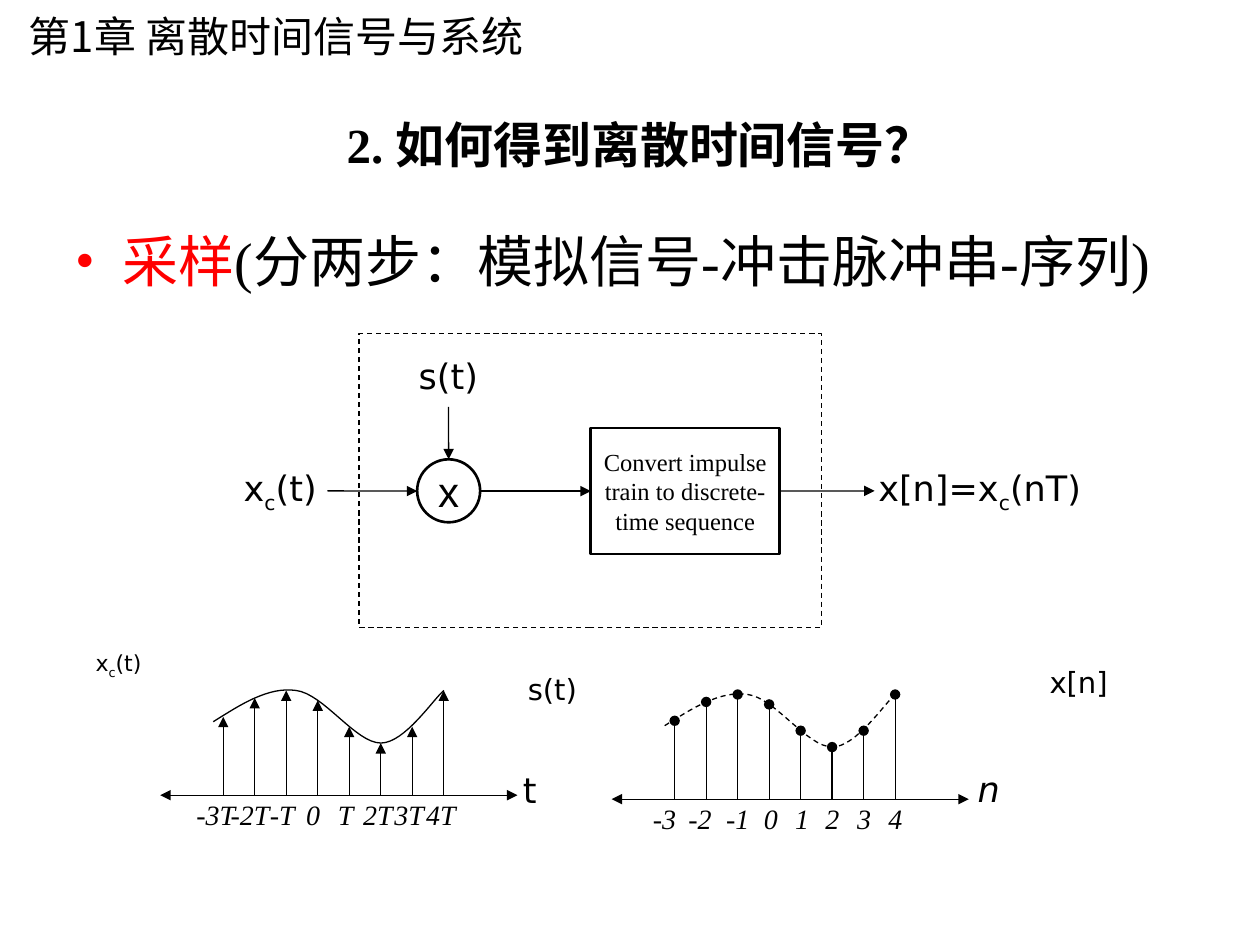
from pptx import Presentation
from pptx.dml.color import RGBColor
from pptx.enum.dml import MSO_LINE_DASH_STYLE as DASH
from pptx.enum.shapes import MSO_CONNECTOR, MSO_SHAPE
from pptx.enum.text import MSO_ANCHOR, PP_ALIGN
from pptx.oxml.ns import qn
from pptx.util import Cm, Pt
from lxml.etree import SubElement

COLORS = {"ink": "000000", "accent": "FF0000"}
SERIF, SANS, CJK = "Times New Roman", "DejaVu Sans", "Noto Sans CJK SC"


def rgb(name):
    return RGBColor.from_string(COLORS[name])


def write(tf, text, size=20, font=SANS, color="ink", bold=False, italic=False,
          align=PP_ALIGN.LEFT, anchor=MSO_ANCHOR.TOP, wrap=True, spacing=None, inset=0.25):
    """Fill the first paragraph; an underscore lowers the next character."""
    tf.word_wrap, tf.vertical_anchor = wrap, anchor
    tf.margin_left = tf.margin_right = Cm(inset)
    p = tf.paragraphs[0]
    p.alignment, p.line_spacing = align, spacing
    head, *rest = text.split("_")
    pieces = [(head, False)]
    for part in rest:
        pieces += [(part[0], True), (part[1:], False)]
    for piece, lowered in pieces:
        r = p.add_run()
        r.text = piece
        f = r.font
        f.size, f.name, f.bold, f.italic = Pt(size), font, bold, italic
        f.color.rgb = rgb(color)
        rPr = f._element
        SubElement(rPr, qn("a:ea")).set("typeface", CJK)
        if lowered:
            rPr.set("baseline", "-25000")


def add_label(s, text, x, y, w, h, **fmt):
    box = s.shapes.add_textbox(Cm(x), Cm(y), Cm(w), Cm(h))
    write(box.text_frame, text, **fmt)
    return box


def outline(shape, width=0.75, dashed=False):
    shape.shadow.inherit = False
    shape.fill.background()
    shape.line.color.rgb = rgb("ink")
    shape.line.width = Pt(width)
    if dashed:
        shape.line.dash_style = DASH.DASH


def add_outlined(s, kind, x, y, w, h, **style):
    shape = s.shapes.add_shape(kind, Cm(x), Cm(y), Cm(w), Cm(h))
    outline(shape, **style)
    return shape


def add_arrow(s, x1, y1, x2, y2, tail="triangle", head=None):
    line = s.shapes.add_connector(MSO_CONNECTOR.STRAIGHT, Cm(x1), Cm(y1), Cm(x2), Cm(y2))
    line.line.color.rgb = rgb("ink")
    line.line.width = Pt(0.75)
    ln = line.line._get_or_add_ln()
    for tag, kind in (("a:headEnd", head), ("a:tailEnd", tail)):
        if kind:
            SubElement(ln, qn(tag)).set("type", kind)
    SubElement(line._element.spPr, qn("a:effectLst"))
    return line


def add_headings(s, x, y):
    add_label(s, "第1章 离散时间信号与系统", x, y, 11.07, 1.27, size=24, font=CJK, wrap=False)
    title = s.shapes.title
    title.left, title.top = Cm(x + 1.78), Cm(y + 1.24)
    title.width, title.height = Cm(21.59), Cm(3.18)
    write(title.text_frame, "2. 如何得到离散时间信号？", size=28, font=SERIF, bold=True,
          align=PP_ALIGN.CENTER, anchor=MSO_ANCHOR.MIDDLE)


def add_bullet(s, x, y, w, h):
    tf = s.shapes.add_textbox(Cm(x), Cm(y), Cm(w), Cm(h)).text_frame
    pPr = tf.paragraphs[0]._p.get_or_add_pPr()
    pPr.set("marL", str(Cm(0.95)))
    pPr.set("indent", str(-Cm(0.95)))
    bullet_color = SubElement(pPr, qn("a:buClr"))
    SubElement(bullet_color, qn("a:srgbClr")).set("val", COLORS["accent"])
    SubElement(pPr, qn("a:buFont")).set("typeface", SERIF)
    SubElement(pPr, qn("a:buChar")).set("char", "•")
    write(tf, "采样", size=32, font=SERIF, color="accent")
    write(tf, "(分两步：模拟信号-冲击脉冲串-序列)", size=32, font=SERIF)


def add_block_diagram(s, x, y, w, h):
    centered = dict(align=PP_ALIGN.CENTER, anchor=MSO_ANCHOR.MIDDLE)
    label = dict(centered, wrap=False, inset=0)
    mid = y + 3.17

    # Converter, multiplier and signal names
    converter = add_outlined(s, MSO_SHAPE.RECTANGLE, x + 4.67, mid - 1.27, 3.81, 2.54, width=1.5)
    write(converter.text_frame, "Convert impulse train to discrete-time sequence",
          size=14, font=SERIF, **centered)
    multiplier = add_outlined(s, MSO_SHAPE.OVAL, x + 1.17, mid - 0.64, 1.27, 1.27, width=1.5)
    write(multiplier.text_frame, "x", size=24, font="Arial", **label)
    source = add_label(s, "x_c(t)", x - 2.54, mid - 0.64, 1.9, 1.27, **label)
    result = add_label(s, "x[n]=x_c(nT)", x + 10.39, mid - 0.64, 4.24, 1.27, **label)
    pulses = add_label(s, "s(t)", x + 0.85, y + 0.2, 1.9, 1.27, **label)

    # Signal flow
    flow = add_arrow(s, x - 0.64, mid, x + 1.17, mid)
    flow.begin_connect(source, 3)
    flow = add_arrow(s, x + 1.8, y + 1.47, x + 1.8, mid - 0.64)
    flow.begin_connect(pulses, 2)
    flow.end_connect(multiplier, 0)
    flow = add_arrow(s, x + 2.44, mid, x + 4.67, mid)
    flow.end_connect(converter, 1)
    flow = add_arrow(s, x + 8.48, mid, x + 10.39, mid)
    flow.begin_connect(converter, 3)
    flow.end_connect(result, 1)

    add_outlined(s, MSO_SHAPE.RECTANGLE, x, y, w, h, dashed=True)


STEM_TOPS = [0.61, 0.23, 0.08, 0.28, 0.81, 1.14, 0.81, 0.08]
CURVE = [(1.07, 0.71), (1.63, 0.36), (2.18, 0), (2.74, 0.08), (3.3, 0.15),
         (3.94, 1.14), (4.45, 1.14), (4.93, 1.14), (5.51, 0.25), (5.72, 0.08)]


def curve_points(controls, steps=16):
    """Points along a chain of cubic Bézier segments."""
    points = [controls[0]]
    for i in range(0, len(controls) - 1, 3):
        segment = controls[i:i + 4]
        for k in range(1, steps + 1):
            t = k / steps
            weights = ((1 - t) ** 3, 3 * t * (1 - t) ** 2, 3 * t * t * (1 - t), t ** 3)
            points.append(tuple(sum(c * q[axis] for c, q in zip(weights, segment))
                                for axis in (0, 1)))
    return points


def add_plot(s, x, y, w, h, ticks, tick_lefts, tip, dashed):
    """Sampled curve over an axis that lies along the bottom of the box."""
    start, *rest = [(Cm(x + px), Cm(y + py)) for px, py in curve_points(CURVE)]
    builder = s.shapes.build_freeform(*start)
    builder.add_line_segments(rest, close=False)
    outline(builder.convert_to_shape(), dashed=dashed)
    add_arrow(s, x, y + h, x + w, y + h, head="triangle")
    for i, (top, tick, left) in enumerate(zip(STEM_TOPS, ticks, tick_lefts)):
        stem = x + 1.27 + 0.635 * i
        add_arrow(s, stem, y + h, stem, y + top, tail=tip)
        add_label(s, tick, x + left, y + h - 0.07, 1.37 if i < 2 else 1.14, 0.94,
                  size=16, font=SERIF, italic=True)


def main():
    prs = Presentation()
    prs.slide_width, prs.slide_height = Cm(25.4), Cm(19.05)
    s = prs.slides.add_slide(prs.slide_layouts[5])

    add_headings(s, 0.33, 0.08)
    add_bullet(s, 1.27, 4.45, 22.43, 13.54)
    add_block_diagram(s, 7.24, 6.73, 9.32, 5.92)

    # Impulse train and sequence plots
    add_plot(s, 3.23, 13.84, 7.2, 2.19, ["-3T", "-2T", "-T", "0", "T", "2T", "3T", "4T"],
             [0.48, 1.17, 1.96, 2.69, 3.33, 3.84, 4.47, 5.11], tip="triangle", dashed=False)
    add_plot(s, 12.33, 13.92, 7.2, 2.19, [str(n) for n in range(-3, 5)],
             [0.58, 1.3, 2.06, 2.82, 3.45, 4.06, 4.7, 5.33], tip="oval", dashed=True)
    add_label(s, "t", 10.29, 15.37, 1.17, 1.12)
    add_label(s, "n", 19.46, 15.34, 1.17, 1.12, italic=True)

    # Signal names above the plots
    for text, x, y, w, h, size, spacing in (
            ("x_c(t)", 1.4, 13.03, 1.98, 0.91, 12.6, 0.8),
            ("s(t)", 10.08, 13.49, 2.11, 1.02, 16.6, 0.9),
            ("x[n]", 20.78, 13.34, 1.93, 0.99, 16.6, 0.9)):
        add_label(s, text, x, y, w, h, size=size, spacing=spacing, align=PP_ALIGN.CENTER)

    prs.save("out.pptx")


if __name__ == "__main__":
    main()
